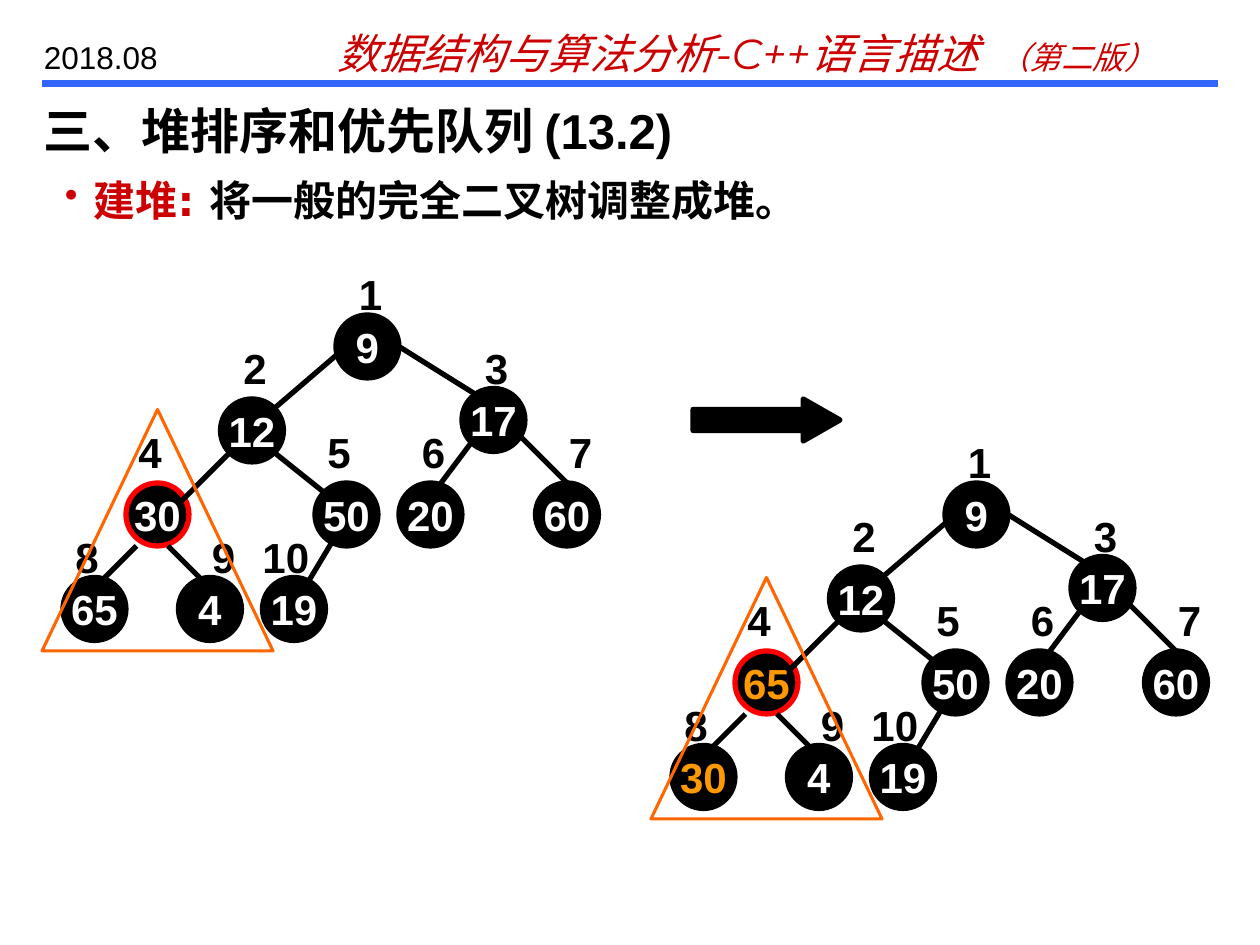
from lxml import etree
from pptx import Presentation
from pptx.dml.color import RGBColor
from pptx.enum.shapes import MSO_CONNECTOR, MSO_SHAPE
from pptx.enum.text import MSO_ANCHOR, PP_ALIGN
from pptx.oxml.ns import qn
from pptx.util import Cm, Pt

OVAL = MSO_SHAPE.OVAL
TRIANGLE = MSO_SHAPE.ISOSCELES_TRIANGLE
RIGHT_ARROW = MSO_SHAPE.RIGHT_ARROW
STRAIGHT = MSO_CONNECTOR.STRAIGHT
MIDDLE = MSO_ANCHOR.MIDDLE
TOP = MSO_ANCHOR.TOP
CENTER = PP_ALIGN.CENTER
LEFT = PP_ALIGN.LEFT

COLORS = {
    "black": "000000",
    "white": "FFFFFF",
    "rule": "3366FF",
    "accent": "CC0000",
    "active": "FF0000",
    "swapped": "FF9900",
    "subtree": "FF6600",
}

GRID = 2.54 / 12
NODE_SIZE = 6

NODE_PLACES = [
    (32, 30), (21, 38), (44, 37), (12, 46), (30, 46),
    (38, 46), (51, 46), (6, 55), (17, 55), (25, 55),
]
LABEL_PLACES = [
    (33, 25), (22, 32), (45, 32), (12, 40), (30, 40),
    (39, 40), (53, 40), (6, 50), (19, 50), (25, 50),
]
EDGES = [
    (33, 33, 26, 39), (38, 33, 46, 38), (22, 43, 17, 48),
    (26, 43, 31, 47), (45, 42, 42, 46), (49, 41, 54, 46),
    (13, 52, 10, 55), (16, 52, 19, 55), (32, 51, 29, 56),
]
SUBTREE = (4, 39, 22, 23)
ACTIVE_INDEX = 4


def rgb(color):
    return RGBColor.from_string(COLORS[color])


def grid(*units):
    return [Cm(unit * GRID) for unit in units]


def add_text(para, text, *, size=24, font="Arial", color="black",
             bold=False, italic=False, spacing=0):
    span = para.add_run()
    span.text = text
    span.font.size = Pt(size)
    span.font.name = font
    span.font.bold = bold
    span.font.italic = italic
    span.font.color.rgb = rgb(color)
    if spacing:
        span.font._element.set("spc", str(spacing * 100))


class Page:
    def __init__(self, deck):
        self.slide = deck.slides.add_slide(deck.slide_layouts[6])
        self.target = self.slide.shapes

    def start_group(self):
        self.target = self.slide.shapes.add_group_shape().shapes

    def text_box(self, place, text=None, inset=0.25, **style):
        box = self.target.add_textbox(*grid(*place))
        frame = box.text_frame
        frame.word_wrap = True
        frame.vertical_anchor = TOP
        frame.margin_left = frame.margin_right = Cm(inset)
        para = frame.paragraphs[0]
        para.alignment = LEFT
        if text:
            add_text(para, text, **style)
        return para

    def bullet(self, place, color):
        para = self.text_box(place)
        properties = para._p.get_or_add_pPr()
        properties.set("marL", str(Cm(0.58)))
        properties.set("indent", str(-Cm(0.58)))
        bullet_color = etree.SubElement(properties, qn("a:buClr"))
        etree.SubElement(bullet_color, qn("a:srgbClr"), val=COLORS[color])
        etree.SubElement(properties, qn("a:buSzPct"), val="90000")
        etree.SubElement(properties, qn("a:buChar"), char="•")
        return para

    def shape(self, kind, place, line="black", fill="black", width=3):
        shape = self.target.add_shape(kind, *grid(*place))
        shape.shadow.inherit = False
        if fill:
            shape.fill.solid()
            shape.fill.fore_color.rgb = rgb(fill)
        else:
            shape.fill.background()
        shape.line.color.rgb = rgb(line)
        shape.line.width = Pt(width)
        return shape

    def node(self, place, value, line, color):
        circle = self.shape(OVAL, (*place, NODE_SIZE, NODE_SIZE), line)
        frame = circle.text_frame
        frame.word_wrap = False
        frame.vertical_anchor = MIDDLE
        para = frame.paragraphs[0]
        para.alignment = CENTER
        add_text(para, str(value), color=color, bold=True)

    def line(self, ends, color="black", width=3):
        line = self.target.add_connector(STRAIGHT, *grid(*ends))
        line.line.color.rgb = rgb(color)
        line.line.width = Pt(width)
        etree.SubElement(line._element.spPr, qn("a:effectLst"))

    def tree(self, values, swapped=(), shift=(0, 0)):
        right, down = shift
        self.start_group()
        for index, (x, y) in enumerate(NODE_PLACES, 1):
            line = "active" if index == ACTIVE_INDEX else "black"
            color = "swapped" if index in swapped else "white"
            self.node((x + right, y + down), values[index - 1], line, color)
        for x1, y1, x2, y2 in EDGES:
            self.line((x1 + right, y1 + down, x2 + right, y2 + down))
        for index, (x, y) in enumerate(LABEL_PLACES, 1):
            place = (x + right, y + down, NODE_SIZE, NODE_SIZE)
            inset = 0 if index > 9 else 0.25
            self.text_box(place, str(index), inset=inset, bold=True)
        x, y, width, height = SUBTREE
        self.shape(TRIANGLE, (x + right, y + down, width, height),
                   "subtree", None, 1.75)
        self.target = self.slide.shapes


def main():
    deck = Presentation()
    deck.slide_width, deck.slide_height = Cm(25.4), Cm(19.05)
    page = Page(deck)

    page.line((4, 8, 116, 8), "rule", 4)
    header = {"font": "Montserrat", "color": "accent", "italic": True}
    para = page.text_box((31, 2, 84, 6), "数据结构与算法分析-C++语言描述", **header)
    add_text(para, " ", spacing=6, **header)
    add_text(para, "（第二版）", size=18, **header)
    page.text_box((3, 3, 17, 4.8), "2018.08", size=18)

    page.text_box((3, 9, 102, 7), "三、堆排序和优先队列 (13.2)", size=28, bold=True)
    para = page.bullet((5, 16, 111, 6), "accent")
    add_text(para, "建堆: ", font="DejaVu Sans", color="accent", bold=True)
    add_text(para, "将一般的完全二叉树调整成堆。", font="DejaVu Sans", bold=True)

    arrow = page.shape(RIGHT_ARROW, (66, 38, 14, 4))
    arrow.adjustments[1] = 0.875

    values = [9, 12, 17, 30, 50, 20, 60, 65, 4, 19]
    page.tree(values)
    values[3], values[7] = values[7], values[3]
    page.tree(values, swapped=(4, 8), shift=(58, 16))

    deck.save("out.pptx")


if __name__ == "__main__":
    main()
